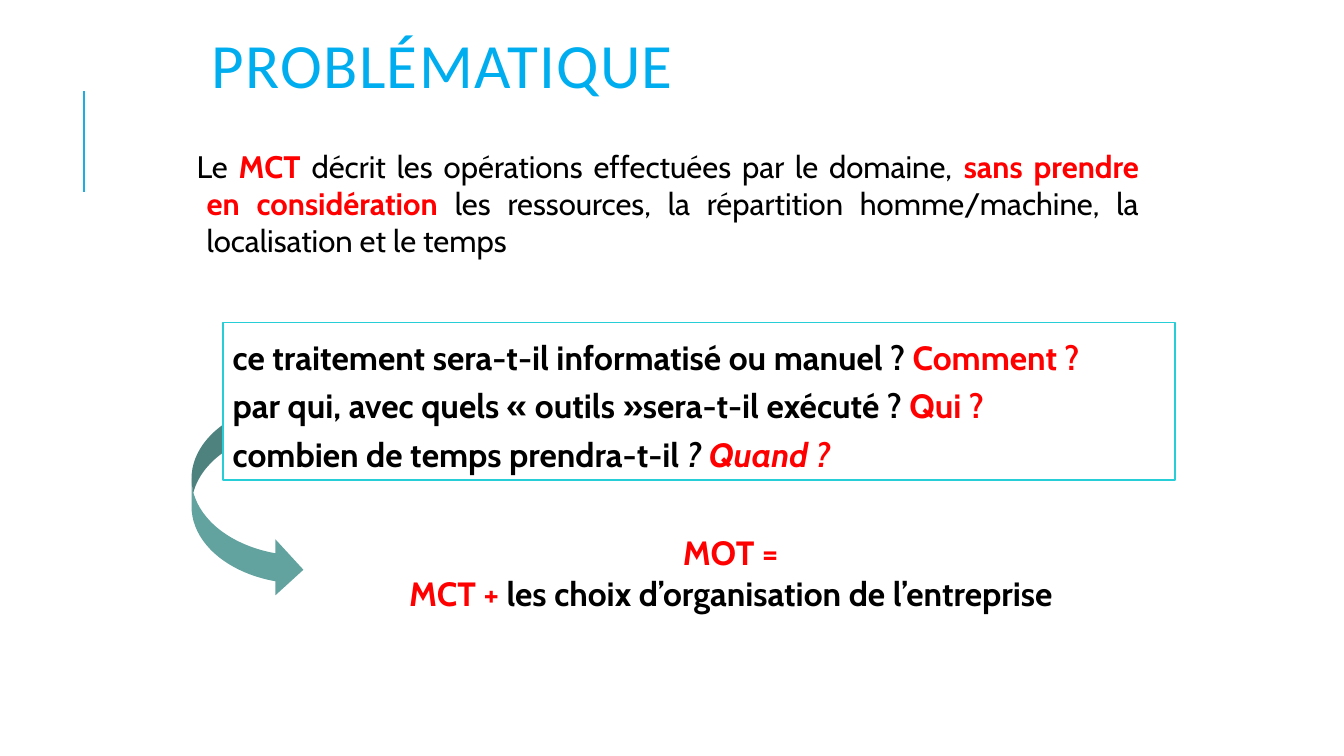
from dataclasses import dataclass

from lxml.etree import SubElement as Sub
from pptx import Presentation
from pptx.dml.color import RGBColor as RGB
from pptx.enum.shapes import MSO_CONNECTOR as Conn, MSO_SHAPE as Shp
from pptx.enum.text import MSO_ANCHOR as Anchor, MSO_AUTO_SIZE as Auto, PP_ALIGN as Al
from pptx.oxml.ns import qn
from pptx.util import Pt

COLORS = {
    "title": "00AEEF", "text": "000000", "accent": "FF0000", "rule": "1CADE4",
    "arrow": "62A39F", "frame": "27CED7", "paper": "FFFFFF",
}


@dataclass(frozen=True)
class Box:
    """Position and size in points."""
    left: float
    top: float
    width: float
    height: float

    def lengths(self) -> list:
        """Return the four values as lengths."""
        return [Pt(v) for v in (self.left, self.top, self.width, self.height)]


@dataclass(frozen=True)
class Span:
    """A piece of text with its emphasis."""
    text: str
    color: str = "text"
    bold: bool = True
    italic: bool = False


TITLE = Box(144, 23.76, 671.76, 52.56)
BODY = Box(136.8, 101.52, 680.4, 93.6)
ARROW = Box(136.8, 286.56, 79.92, 140.4)
QUESTIONS = Box(159.12, 230.4, 680.4, 112.32)
RESULT = Box(226.8, 376.56, 590.4, 65.52)

INTRO = [
    Span("Le ", bold=False),
    Span("MCT ", "accent"),
    Span("décrit les opérations effectuées par le domaine, ", bold=False),
    Span("sans prendre en considération ", "accent"),
    Span("les ressources, la répartition homme/machine, la localisation et le temps", bold=False),
]
QUESTION_LINES = [
    [Span("ce traitement sera-t-il informatisé ou manuel ? "), Span("Comment ?", "accent")],
    [Span("par qui, avec quels « outils »sera-t-il exécuté ? "), Span("Qui ?", "accent")],
    [Span("combien de temps prendra-t-il"), Span(" ? ", italic=True),
     Span("Quand ?", "accent", italic=True)],
]
RESULT_LINES = [
    [Span("MOT =", "accent")],
    [Span("MCT + ", "accent"), Span("les choix d’organisation de l’entreprise")],
]


def add_text(p, text: str, *, size: float = 24, font: str = "Cabin", color: str = "text",
             bold: bool = False, italic: bool = False, spacing: float = 0) -> None:
    """Add a formatted run to a paragraph."""
    r = p.add_run()
    r.text = text
    r.font.size, r.font.name = Pt(size), font
    r.font.bold, r.font.italic = bold, italic
    r.font.color.rgb = RGB.from_string(COLORS[color])
    if spacing:
        r.font._element.set("spc", str(round(spacing * 100)))


def write_lines(tf, lines: list[list[Span]], align: Al, size: float = 24,
                line_spacing: float = 1.0) -> None:
    """Write each list of spans as one paragraph."""
    for i, spans in enumerate(lines):
        p = tf.paragraphs[0] if i == 0 else tf.add_paragraph()
        p.alignment, p.line_spacing = align, line_spacing
        for span in spans:
            add_text(p, span.text, size=size, color=span.color, bold=span.bold,
                     italic=span.italic)


def place(sp, box: Box) -> None:
    """Move and size a placeholder."""
    sp.left, sp.top, sp.width, sp.height = box.lengths()


def add_shape(s, kind: Shp, box: Box, fill: str):
    """Add a flat filled shape without an outline."""
    sp = s.shapes.add_shape(kind, *box.lengths())
    sp.shadow.inherit = False
    sp.fill.solid()
    sp.fill.fore_color.rgb = RGB.from_string(COLORS[fill])
    sp.line.fill.background()
    return sp


def add_rule(s) -> None:
    """Draw the vertical rule at the left margin."""
    rule = s.shapes.add_connector(Conn.STRAIGHT, Pt(60), Pt(136.8), Pt(60), Pt(64.8))
    rule.line.color.rgb = RGB.from_string(COLORS["rule"])
    rule.line.width = Pt(1.5)
    Sub(rule._element.spPr, qn("a:effectLst"))


def fill_title(s) -> None:
    """Format the title placeholder."""
    sp = s.shapes.title
    place(sp, TITLE)
    tf = sp.text_frame
    tf.vertical_anchor, tf.auto_size = Anchor.MIDDLE, Auto.NONE
    p = tf.paragraphs[0]
    p.alignment, p.line_spacing = Al.LEFT, 0.8
    add_text(p, "PROBLÉMATIQUE", size=45, font="Calibri", color="title", spacing=1)


def fill_body(s) -> None:
    """Format the body placeholder as a justified paragraph."""
    sp = s.placeholders[1]
    place(sp, BODY)
    tf = sp.text_frame
    tf.auto_size, tf.vertical_anchor = Auto.NONE, Anchor.TOP
    tf.margin_left = tf.margin_right = tf.margin_top = tf.margin_bottom = Pt(3.6)
    write_lines(tf, [INTRO], Al.JUSTIFY, size=22.2)
    p = tf.paragraphs[0]
    p.space_before, p.space_after = Pt(12), Pt(2)
    pPr = p._p.get_or_add_pPr()
    pPr.set("marL", str(Pt(7.2)))
    pPr.set("indent", str(-Pt(7.2)))
    Sub(pPr, qn("a:buNone"))


def add_questions(s) -> None:
    """Add the framed list of questions."""
    sp = add_shape(s, Shp.RECTANGLE, QUESTIONS, "paper")
    sp.line.color.rgb = RGB.from_string(COLORS["frame"])
    sp.line.width = Pt(1.25)
    sp.text_frame.word_wrap = True
    write_lines(sp.text_frame, QUESTION_LINES, Al.LEFT, line_spacing=1.2)


def add_result(s) -> None:
    """Add the concluding formula."""
    tf = s.shapes.add_textbox(*RESULT.lengths()).text_frame
    tf.word_wrap = True
    write_lines(tf, RESULT_LINES, Al.CENTER)


def main() -> None:
    """Build and save the slide."""
    prs = Presentation()
    prs.slide_width, prs.slide_height = Pt(960), Pt(540)
    s = prs.slides.add_slide(prs.slide_layouts[1])
    add_rule(s)
    fill_title(s)
    fill_body(s)
    add_shape(s, Shp.CURVED_RIGHT_ARROW, ARROW, "arrow")
    add_questions(s)
    add_result(s)
    prs.save("out.pptx")


if __name__ == "__main__":
    main()
